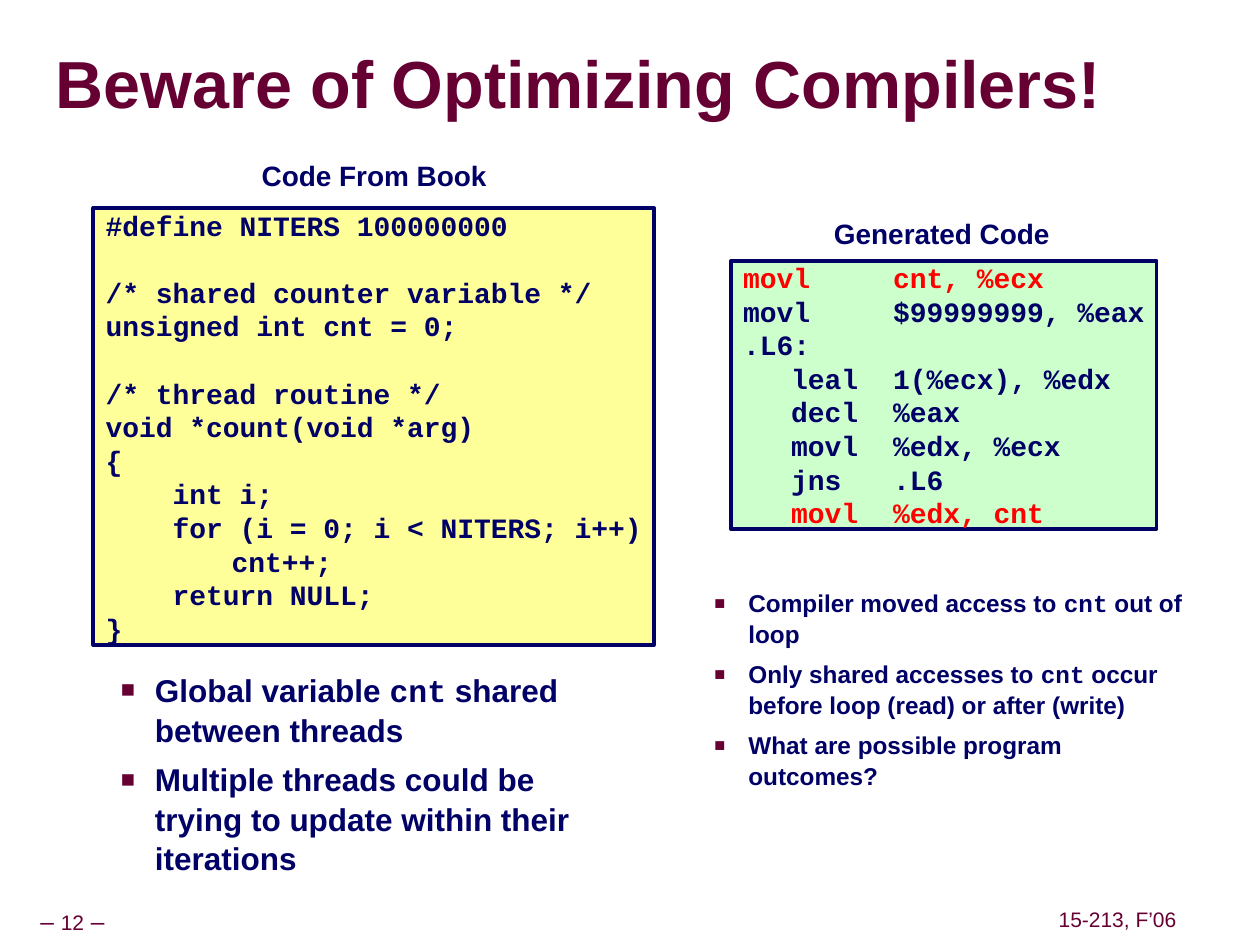
from lxml.etree import SubElement
from pptx import Presentation
from pptx.dml.color import RGBColor
from pptx.enum.shapes import MSO_SHAPE
from pptx.enum.text import MSO_ANCHOR, MSO_AUTO_SIZE, PP_ALIGN
from pptx.oxml.ns import qn
from pptx.util import Inches, Pt

MAROON = RGBColor(0x66, 0x00, 0x33)
NAVY = RGBColor(0x00, 0x00, 0x66)
RED = RGBColor(0xFF, 0x00, 0x00)
YELLOW = RGBColor(0xFF, 0xFF, 0x99)
GREEN = RGBColor(0xCC, 0xFF, 0xCC)

SOURCE_LINES = """#define NITERS 100000000

/* shared counter variable */
unsigned int cnt = 0;

/* thread routine */
void *count(void *arg)
{
    int i;
    for (i = 0; i < NITERS; i++)
\tcnt++;
    return NULL;
}""".split("\n")

ASSEMBLY_LINES = [
    "movl\tcnt, %ecx",
    "movl\t$99999999, %eax",
    ".L6:",
    "\tleal\t1(%ecx), %edx",
    "\tdecl\t%eax",
    "\tmovl\t%edx, %ecx",
    "\tjns\t.L6",
    "\tmovl\t%edx, cnt",
]


class SlideBuilder:
    heading_font = "Arial"
    code_font = "Courier New"

    def __init__(self, slide):
        self.slide = slide

    def place(self, shape, left, top, width, height):
        shape.left, shape.top = Inches(left), Inches(top)
        shape.width, shape.height = Inches(width), Inches(height)

    def set_frame(self, frame, horizontal, vertical, anchor, wrap):
        frame.margin_left = frame.margin_right = Inches(horizontal)
        frame.margin_top = frame.margin_bottom = Inches(vertical)
        frame.vertical_anchor = anchor
        frame.word_wrap = wrap
        frame.auto_size = MSO_AUTO_SIZE.NONE

    def style(self, font, name, size, color, bold=True):
        font.name, font.size, font.bold = name, Pt(size), bold
        font.color.rgb = color

    def title(self, text, *box):
        shape = self.slide.shapes.title
        self.place(shape, *box)
        frame = shape.text_frame
        frame.text = text
        self.set_frame(frame, 0, 0, MSO_ANCHOR.MIDDLE, True)
        paragraph = frame.paragraphs[0]
        paragraph.alignment = PP_ALIGN.LEFT
        paragraph.line_spacing = 0.87
        self.style(paragraph.runs[0].font, self.heading_font, 38, MAROON)

    def bullet(self, paragraph):
        properties = paragraph._p.get_or_add_pPr()
        properties.set("marL", str(Inches(0.81)))
        properties.set("indent", str(Inches(-0.27)))
        color = SubElement(properties, qn("a:buClr"))
        SubElement(color, qn("a:srgbClr"), val=str(MAROON))
        SubElement(properties, qn("a:buSzPct"), val="75000")
        SubElement(properties, qn("a:buFont"), typeface="Arial")
        SubElement(properties, qn("a:buChar"), char="■")

    def bullets(self, index, items, size, *box):
        shape = self.slide.placeholders[index]
        self.place(shape, *box)
        frame = shape.text_frame
        self.set_frame(frame, 0.1, 0.05, MSO_ANCHOR.TOP, True)
        frame.text = "\n".join("".join(parts) for parts in items)
        for number, (paragraph, parts) in enumerate(zip(frame.paragraphs, items)):
            paragraph.level = 1
            self.bullet(paragraph)
            paragraph.line_spacing = 1.05
            paragraph.space_before = Pt(5.6 if number else 0)
            paragraph.text = ""
            for part in parts:
                run = paragraph.add_run()
                run.text = part
                name = self.code_font if part == "cnt" else self.heading_font
                self.style(run.font, name, size, NAVY)

    def code(self, lines, fill, red_lines, tabs, *box):
        shape = self.slide.shapes.add_shape(MSO_SHAPE.RECTANGLE, *map(Inches, box))
        shape.shadow.inherit = False
        shape.fill.solid()
        shape.fill.fore_color.rgb = fill
        shape.line.color.rgb = NAVY
        shape.line.width = Pt(2)
        frame = shape.text_frame
        self.set_frame(frame, 0.1, 0, MSO_ANCHOR.MIDDLE, False)
        frame.text = "\n".join(lines)
        for number, paragraph in enumerate(frame.paragraphs):
            paragraph.alignment = PP_ALIGN.LEFT
            tab_list = SubElement(paragraph._p.get_or_add_pPr(), qn("a:tabLst"))
            for tab in tabs:
                SubElement(tab_list, qn("a:tab"), pos=str(Inches(tab)), algn="l")
            color = RED if number in red_lines else NAVY
            self.style(paragraph.font, self.code_font, 16, color)
            for run in paragraph.runs:
                self.style(run.font, self.code_font, 16, color)

    def label(self, text, *box):
        self.text([(text, 16)], NAVY, True, 0.1, MSO_ANCHOR.TOP, 1.0, box)

    def footer(self, parts, *box):
        self.text(parts, MAROON, False, 0.05, MSO_ANCHOR.MIDDLE, 0.9, box)

    def text(self, parts, color, bold, margin, anchor, spacing, box):
        shape = self.slide.shapes.add_textbox(*map(Inches, box))
        self.set_frame(shape.text_frame, margin, 0.05, anchor, False)
        paragraph = shape.text_frame.paragraphs[0]
        paragraph.alignment = PP_ALIGN.CENTER
        paragraph.line_spacing = spacing
        for text, size in parts:
            run = paragraph.add_run()
            run.text = text
            self.style(run.font, self.heading_font, size, color, bold)


def main():
    presentation = Presentation()
    presentation.slide_width, presentation.slide_height = Inches(10), Inches(7.5)
    slide = presentation.slides.add_slide(presentation.slide_layouts[3])
    builder = SlideBuilder(slide)
    builder.footer([("– ", 14), ("12", 12), (" –", 14)], -0.02, 7.17, 1.19, 0.31)
    builder.footer([("15-213, F’06", 12)], 8.35, 7.17, 1.04, 0.28)
    builder.title("Beware of Optimizing Compilers!", 0.44, 0.27, 9.53, 0.85)
    builder.bullets(1, [
        ["Global variable ", "cnt", " shared between threads"],
        ["Multiple threads could be trying to update within their iterations"],
    ], 18, 0.32, 5.26, 4.46, 1.79)
    builder.bullets(2, [
        ["Compiler moved access to ", "cnt", " out of loop"],
        ["Only shared accesses to ", "cnt", " occur before loop (read) or after (write)"],
        ["What are possible program outcomes?"],
    ], 13.9, 5.03, 4.61, 4.46, 1.79)
    builder.code(SOURCE_LINES, YELLOW, [], range(1, 8), 0.74, 1.65, 4.45, 3.47)
    builder.label("Code From Book", 1.98, 1.21, 1.98, 0.37)
    last_line = len(ASSEMBLY_LINES) - 1
    builder.code(ASSEMBLY_LINES, GREEN, [0, last_line], [0.38, 1.19, 2], 5.8, 2.07, 3.38, 2.13)
    builder.label("Generated Code", 6.52, 1.67, 1.91, 0.37)
    presentation.save("out.pptx")


if __name__ == "__main__":
    main()
